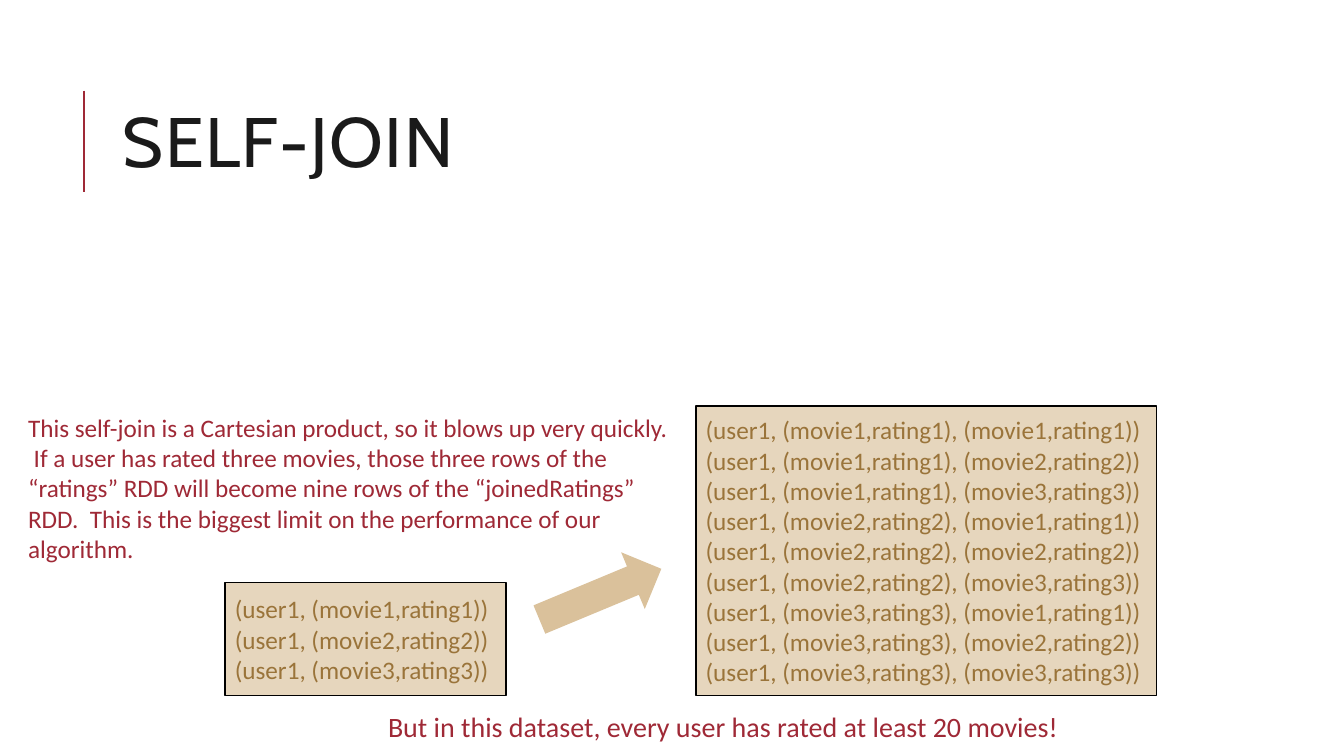
from dataclasses import dataclass
from itertools import product

from lxml import etree
from pptx import Presentation
from pptx.dml.color import RGBColor
from pptx.enum.shapes import MSO_CONNECTOR, MSO_SHAPE
from pptx.enum.text import MSO_ANCHOR, PP_ALIGN
from pptx.oxml.ns import qn
from pptx.util import Inches, Pt

STRAIGHT = MSO_CONNECTOR.STRAIGHT
RECTANGLE, RIGHT_ARROW = MSO_SHAPE.RECTANGLE, MSO_SHAPE.RIGHT_ARROW
TOP, MIDDLE = MSO_ANCHOR.TOP, MSO_ANCHOR.MIDDLE
LEFT = PP_ALIGN.LEFT


@dataclass(frozen=True)
class Theme:
    accent: str = "9F2936"
    ink: str = "1A1A1A"
    box_fill: str = "E6D6BD"
    box_line: str = "000000"
    box_text: str = "9A743A"
    arrow: str = "DAC19B"
    heading_font: str = "Cabin"
    body_font: str = "Calibri"
    title_size: int = 50
    body_size: int = 18
    remark_size: int = 20


class SlideBuilder:
    def __init__(self, slide, theme):
        self.slide = slide
        self.theme = theme

    def fill_text(self, frame, lines, color, size, font=None, anchor=TOP,
                  line_spacing=None, tracking=None):
        frame.word_wrap = True
        frame.vertical_anchor = anchor
        for index, line in enumerate(lines):
            paragraph = frame.paragraphs[0] if index == 0 else frame.add_paragraph()
            paragraph.alignment = LEFT
            if line_spacing:
                paragraph.line_spacing = line_spacing
            run = paragraph.add_run()
            run.text = line
            run.font.name = font or self.theme.body_font
            run.font.size = Pt(size)
            run.font.color.rgb = RGBColor.from_string(color)
            if tracking:
                run.font._element.set("spc", str(tracking))

    def text(self, left, top, width, height, line, color, size, **style):
        box = self.slide.shapes.add_textbox(
            Inches(left), Inches(top), Inches(width), Inches(height))
        self.fill_text(box.text_frame, [line], color, size, **style)

    def shape(self, kind, left, top, width, height, fill):
        shape = self.slide.shapes.add_shape(
            kind, Inches(left), Inches(top), Inches(width), Inches(height))
        shape.shadow.inherit = False
        shape.fill.solid()
        shape.fill.fore_color.rgb = RGBColor.from_string(fill)
        shape.line.fill.background()
        return shape

    def rows_box(self, left, top, width, height, rows):
        theme = self.theme
        box = self.shape(RECTANGLE, left, top, width, height, theme.box_fill)
        box.line.color.rgb = RGBColor.from_string(theme.box_line)
        box.line.width = Pt(1.25)
        self.fill_text(box.text_frame, rows, theme.box_text, theme.body_size,
                       anchor=MIDDLE)

    def arrow(self, left, top, width, height, rotation):
        arrow = self.shape(RIGHT_ARROW, left, top, width, height, self.theme.arrow)
        arrow.rotation = rotation

    def rule(self, x, top, bottom):
        rule = self.slide.shapes.add_connector(
            STRAIGHT, Inches(x), Inches(top), Inches(x), Inches(bottom))
        rule.line.color.rgb = RGBColor.from_string(self.theme.accent)
        rule.line.width = Pt(1.5)
        etree.SubElement(rule._element.spPr, qn("a:effectLst"))


presentation = Presentation()
presentation.slide_width = Inches(13.33)
presentation.slide_height = Inches(7.5)
theme = Theme()
page = SlideBuilder(
    presentation.slides.add_slide(presentation.slide_layouts[6]), theme)

# Title with its accent rule
page.rule(0.83, 0.9, 1.9)
page.text(1.12, 0.64, 10.63, 1.64, "SELF-JOIN", theme.ink, theme.title_size,
          font=theme.heading_font, anchor=MIDDLE, line_spacing=0.8, tracking=100)

# Rated movies and every pair of them after the join
ratings = [f"(movie{n},rating{n})" for n in range(1, 4)]
joined_ratings = [f"(user1, {first}, {second})"
                  for first, second in product(ratings, repeat=2)]
page.rows_box(2.23, 5.78, 2.79, 1.12, [f"(user1, {rating})" for rating in ratings])
page.rows_box(6.9, 4.03, 4.57, 2.87, joined_ratings)
page.arrow(5.3, 5.59, 1.31, 0.61, 337.4)

# Explanation and closing remark
page.text(0.18, 4.04, 6.57, 1.31,
          "This self-join is a Cartesian product, so it blows up very quickly.  "
          "If a user has rated three movies, those three rows of the “ratings” RDD "
          "will become nine rows of the “joinedRatings” RDD.  This is the biggest "
          "limit on the performance of our algorithm.",
          theme.accent, theme.body_size)
page.text(3.75, 6.99, 7.72, 0.44,
          "But in this dataset, every user has rated at least 20 movies!",
          theme.accent, theme.remark_size)

presentation.save("out.pptx")
